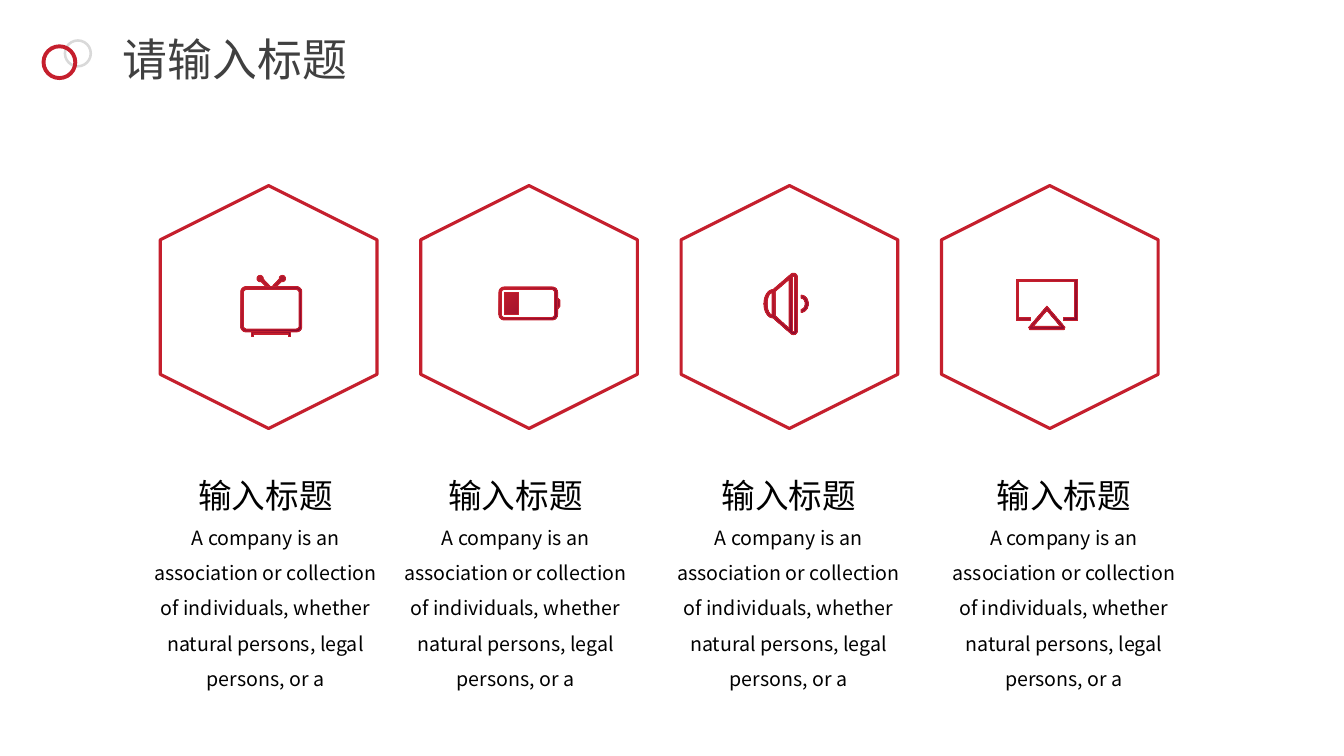
import math

import lxml.etree
import pptx
import pptx.dml.color
import pptx.enum.shapes
import pptx.enum.text
import pptx.oxml.ns
import pptx.util

Pt = pptx.util.Pt
SHAPE = pptx.enum.shapes.MSO_SHAPE
FONT = "Noto Sans CJK SC"
RED, DARK_RED, GREY = "C51F2D", "83062E", "D9D9D9"
BODY = ("A company is an association or collection of individuals, "
        "whether natural persons, legal persons, or a")


def color(hex_value):
    return pptx.dml.color.RGBColor.from_string(hex_value)


# Outlines of the icons, in points from the icon's top left corner
def arc(cx, cy, rx, ry, start, end, steps=16):
    angles = [math.radians(start + (end - start) * i / steps) for i in range(steps + 1)]
    return [(cx + rx * math.cos(a), cy + ry * math.sin(a)) for a in angles]


def box(left, top, right, bottom):
    return [(left, top), (right, top), (right, bottom), (left, bottom)]


def round_box(left, top, right, bottom, r):
    corners = [(right - r, bottom - r), (left + r, bottom - r),
               (left + r, top + r), (right - r, top + r)]
    return [point for i, (cx, cy) in enumerate(corners)
            for point in arc(cx, cy, r, r, 90 * i, 90 * i + 90, 6)]


def television():
    antenna = [(25.3, 8)] + arc(29.7, 2.2, 2.2, 2.2, 110, -190) + [(22.4, 8)]
    foot = [(7.9, 40.3), (7.9, 43.5), (9.4, 43.5), (9.4, 41.8),
            (34.1, 41.8), (34.1, 43.5), (35.6, 43.5), (35.6, 40.3)]
    return [round_box(0, 8, 43.5, 40.3, 3.8), round_box(1.8, 10, 41.7, 38.3, 2.2),
            antenna, [(43.5 - x, y) for x, y in antenna], foot]


def battery():
    terminal = [(41.8, 8), (43.5, 9.4), (43.5, 13.7), (41.8, 15.8)]
    return [round_box(0, 0, 41.8, 23.5, 3.8), round_box(1.7, 1.7, 39.8, 21.8, 2.2),
            box(3.7, 3.7, 13.7, 19.6), terminal]


def speaker():
    body = (arc(21.1, 41.1, 2.7, 2.7, 0, 130) + arc(6.5, 21.8, 6.5, 10.1, 90, 270)
            + arc(21.1, 2.7, 2.7, 2.7, 230, 360))
    cone = [(18, 39.6), (7.9, 30.2), (7.9, 13), (18, 4.3)]
    wave = arc(26.6, 21.8, 5, 6.1, -90, 90) + arc(26.6, 21.8, 2.9, 4, 90, -90)
    return [body, cone, arc(5.8, 21.8, 3.6, 7.9, 90, 270),
            box(20.2, 2.2, 21.7, 41.7), wave]


def screen():
    frame = [(0, 0), (43.7, 0), (43.7, 29.5), (34, 29.5), (34, 27.4), (41.9, 27.4),
             (41.9, 2), (2, 2), (2, 27.4), (10, 27.4), (10, 29.5), (0, 29.5)]
    triangle = [(22, 19.4), (34.9, 34.5), (34.2, 36), (9.8, 36), (9.1, 34.5)]
    return [frame, triangle, [(12.2, 33.8), (22, 22.3), (31.8, 33.8)]]


# Elements of the slide
def add_ring(slide, left, top, size, thickness, fill):
    sp = slide.shapes.add_shape(SHAPE.DONUT, Pt(left), Pt(top), Pt(size), Pt(size))
    sp.adjustments[0] = thickness
    sp.shadow.inherit = False
    sp.fill.solid()
    sp.fill.fore_color.rgb = color(fill)
    sp.line.fill.background()


def add_hexagon(slide, cx, cy, width, height):
    sp = slide.shapes.add_shape(SHAPE.HEXAGON, Pt(cx - width / 2), Pt(cy - height / 2),
                                Pt(width), Pt(height))
    sp.adjustments[0] = 0.25
    sp.rotation = 270
    sp.shadow.inherit = False
    sp.fill.background()
    sp.line.color.rgb = color(RED)
    sp.line.width = Pt(2.25)


def add_icon(slide, left, top, outlines):
    units = 100  # drawing units per point
    outlines = [[(x * units, y * units) for x, y in outline] for outline in outlines]
    builder = slide.shapes.build_freeform(*outlines[0][0], scale=Pt(1) / units)
    for outline in outlines:
        builder.move_to(*outline[0])
        builder.add_line_segments(outline[1:], close=True)
    sp = builder.convert_to_shape(Pt(left), Pt(top))
    sp.shadow.inherit = False
    sp.fill.gradient()
    sp.fill.gradient_angle = 315
    for stop, shade in zip(sp.fill.gradient_stops, (RED, DARK_RED)):
        stop.color.rgb = color(shade)
    first, last = sp.fill.gradient_stops
    first.position, last.position = 0, 1
    sp.line.color.rgb = color(RED)
    sp.line.width = Pt(0.75)


def add_text(slide, left, top, width, height, text, size, fill="000000",
             align=pptx.enum.text.PP_ALIGN.CENTER, spacing=1.0, wrap=True):
    tf = slide.shapes.add_textbox(Pt(left), Pt(top), Pt(width), Pt(height)).text_frame
    tf.word_wrap = wrap
    tf.text = text
    p = tf.paragraphs[0]
    p.alignment = align
    p.line_spacing = spacing
    r = p.runs[0]
    r.font.size = Pt(size)
    r.font.name = FONT
    r.font.color.rgb = color(fill)
    ea = lxml.etree.SubElement(r._r.get_or_add_rPr(), pptx.oxml.ns.qn("a:ea"))
    ea.set("typeface", FONT)
    return tf


def main():
    prs = pptx.Presentation()
    prs.slide_width, prs.slide_height = Pt(960), Pt(540)
    slide = prs.slides.add_slide(prs.slide_layouts[6])

    # Slide title with its rings
    add_ring(slide, 45.5, 28, 20.3, 0.09, GREY)
    add_ring(slide, 29.7, 31.7, 25.5, 0.11, RED)
    tf = add_text(slide, 80.6, 19.4, 176.4, 46, "请输入标题", 32, "404040",
                  pptx.enum.text.PP_ALIGN.LEFT, wrap=False)
    tf.auto_size = pptx.enum.text.MSO_AUTO_SIZE.SHAPE_TO_FIT_TEXT

    # Row of hexagons
    for i in range(4):
        add_hexagon(slide, 191.9 + 186 * i, 219.3, 173.5, 154.8)

    # Icons
    for left, top, outlines in ((172, 196.8, television()), (356.4, 205, battery()),
                                (545.7, 195.2, speaker()), (725.8, 199.4, screen())):
        add_icon(slide, left, top, outlines)

    # Captions
    for cx in (189.7, 368.3, 563.3, 760):
        add_text(slide, cx - 94.7, 363.6, 189.4, 48.2, BODY, 14, spacing=1.5)
        add_text(slide, cx - 98.6, 335.5, 197.2, 20.2, "输入标题", 24)

    prs.save("out.pptx")


if __name__ == "__main__":
    main()
